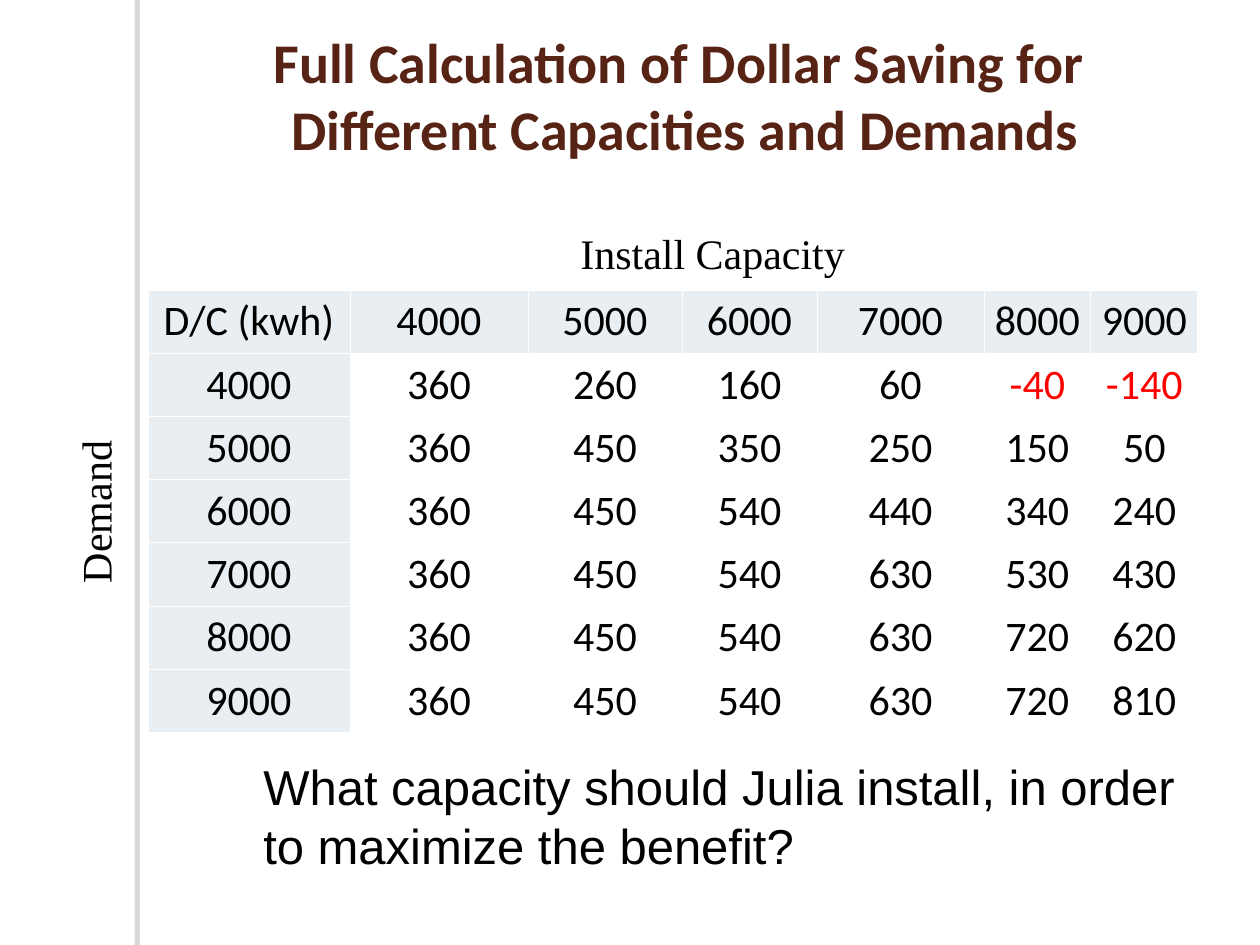
from lxml import etree
from pptx import Presentation
from pptx import util as u
from pptx.dml.color import RGBColor
from pptx.enum import shapes, text
from pptx.oxml import parse_xml
from pptx.oxml.ns import nsdecls, qn

SCALE = 914400 / 126
LEVELS = range(4000, 10000, 1000)
COLS = [202, 178, 154, 135, 167, 107, 107]
ROW = 58


def px(n):
    return u.Emu(round(n * SCALE))


def hue(code):
    return RGBColor.from_string(code)


def add_run(para, words, size, font, color="000000", bold=False):
    run = para.add_run()
    run.text = words
    run.font.size = u.Pt(size)
    run.font.name = font
    run.font.bold = bold
    run.font.color.rgb = hue(color)


def add_text(slide, box, lines, size, font, color="000000", bold=False,
             align=text.PP_ALIGN.LEFT, wrap=True, grow=True, turn=0):
    shape = slide.shapes.add_textbox(*map(px, box))
    shape.rotation = turn
    frame = shape.text_frame
    frame.word_wrap = wrap
    kind = text.MSO_AUTO_SIZE
    frame.auto_size = kind.SHAPE_TO_FIT_TEXT if grow else kind.NONE
    for i, line in enumerate(lines):
        para = frame.add_paragraph() if i else frame.paragraphs[0]
        para.alignment = align
        add_run(para, line, size, font, color, bold)


def add_bar(slide, box):
    """White strip with a hard shadow on its left side."""
    bar = slide.shapes.add_shape(shapes.MSO_SHAPE.RECTANGLE, *map(px, box))
    bar.fill.solid()
    bar.fill.fore_color.rgb = hue("FFFFFF")
    bar.line.fill.background()
    bar.shadow.inherit = False
    bar._element.spPr.find(qn("a:effectLst")).append(parse_xml(
        f'<a:outerShdw {nsdecls("a")} blurRad="0" dist="38100" dir="10800000">'
        '<a:srgbClr val="706B5F"><a:alpha val="25000"/></a:srgbClr>'
        '</a:outerShdw>'))


def add_edges(cell):
    props = cell._tc.get_or_add_tcPr()
    for i, side in enumerate(("lnL", "lnR", "lnT", "lnB")):
        edge = etree.Element(qn(f"a:{side}"), w=str(u.Pt(0.45)))
        fill = etree.SubElement(edge, qn("a:solidFill"))
        etree.SubElement(fill, qn("a:srgbClr"), val="FFFFFF")
        props.insert(i, edge)


def fill_cell(cell, words, head):
    cell.fill.solid()
    cell.fill.fore_color.rgb = hue("E8EEF1" if head else "FFFFFF")
    cell.margin_left = cell.margin_right = px(1)
    cell.margin_top = cell.margin_bottom = px(6)
    cell.vertical_anchor = text.MSO_ANCHOR.BOTTOM
    para = cell.text_frame.paragraphs[0]
    para.alignment = text.PP_ALIGN.CENTER
    add_run(para, words, 24, "Calibri",
            "FF0000" if words.startswith("-") else "000000")
    add_edges(cell)


def saving(demand, size):
    """Earn 0.19 per kwh used, pay 0.10 per kwh installed."""
    return (19 * min(demand, size) - 10 * size) // 100


def add_grid(slide, left, top):
    rows = [["D/C (kwh)", *LEVELS]]
    rows += [[d, *(saving(d, c) for c in LEVELS)] for d in LEVELS]
    box = left, top, sum(COLS), ROW * len(rows)
    table = slide.shapes.add_table(len(rows), len(COLS), *map(px, box)).table
    table.horz_banding = False
    for col, width in zip(table.columns, COLS):
        col.width = px(width)
    for r, row in enumerate(rows):
        table.rows[r].height = px(ROW)
        for c, value in enumerate(row):
            fill_cell(table.cell(r, c), str(value), r == 0 or c == 0)


def main():
    deck = Presentation()
    deck.slide_width, deck.slide_height = px(1260), px(945)
    slide = deck.slides.add_slide(deck.slide_layouts[6])

    # Side strip and savings table
    add_bar(slide, (140, 0, 10, 945))
    add_grid(slide, 148, 290)

    # Axis labels
    serif = "Times New Roman"
    add_text(slide, (568, 221, 290, 63), ["Install Capacity"], 24, serif,
             wrap=False)
    add_text(slide, (11, 480, 168, 63), ["Demand"], 24, serif,
             wrap=False, turn=270)

    # Title and question
    add_text(slide, (148, 21, 1075, 168),
             ["Full Calculation of Dollar Saving for ",
              "Different Capacities and Demands"],
             32, "Calibri", "572314", True, text.PP_ALIGN.CENTER, grow=False)
    add_text(slide, (251, 750, 945, 131),
             ["What capacity should Julia install, in order "
              "to maximize the benefit?"], 28, "Arial")
    deck.save("out.pptx")


if __name__ == "__main__":
    main()
